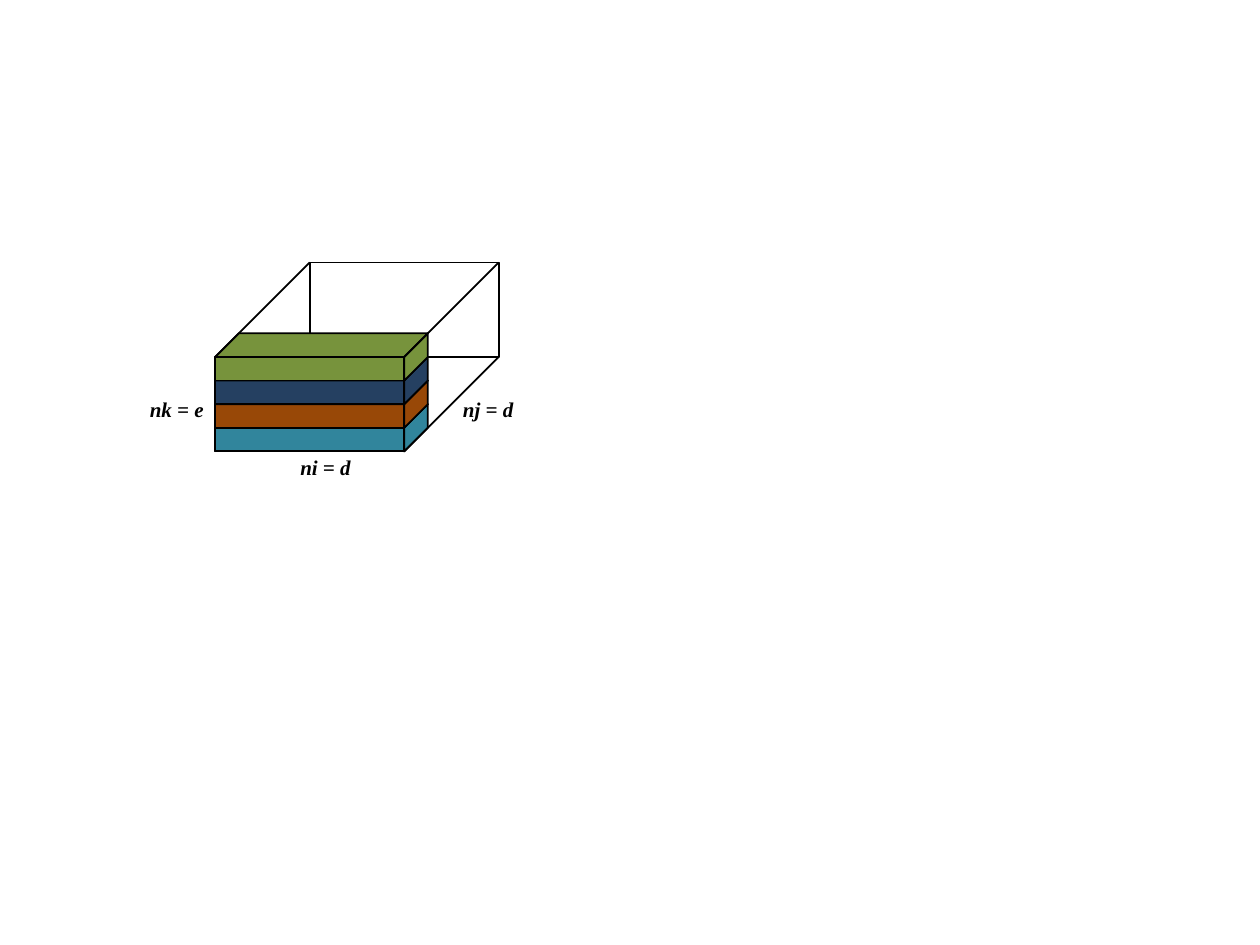
from dataclasses import dataclass
from typing import Optional

import pptx
import pptx.dml.color
import pptx.enum.shapes
import pptx.enum.text
import pptx.oxml.ns
import pptx.util
from lxml import etree

Pt = pptx.util.Pt
RGB = pptx.dml.color.RGBColor
KIND = pptx.enum.shapes.MSO_SHAPE


@dataclass(frozen=True)
class Theme:
    ink: str = "000000"
    teal: str = "31859C"
    brown: str = "984807"
    violet: str = "604A7B"
    navy: str = "254061"
    red: str = "953735"
    green: str = "77933C"
    font: str = "Times New Roman"
    size: float = 12
    stroke: float = 1


@dataclass(frozen=True)
class Layer:
    face: str
    top: str


@dataclass(frozen=True)
class Label:
    text: str
    left: float
    top: float
    width: float
    height: float


THEME = Theme()
LEFT, TOP, WIDTH, HEIGHT = 123, 204, 108, 54
RIGHT, BASE = LEFT + WIDTH, TOP + HEIGHT
DEPTH = 54

LAYERS = [
    Layer(THEME.teal, THEME.teal),
    Layer(THEME.brown, THEME.violet),
    Layer(THEME.navy, THEME.red),
    Layer(THEME.green, THEME.green),
]
STEP = HEIGHT / len(LAYERS)

LABELS = [
    Label("ni = d", 138, 258, 96, 18),
    Label("nk = e", 82, 222, 38, 24),
    Label("nj = d", 258, 222, 42, 24),
]


def add_shape(shapes, kind, left: float, top: float, width: float,
              height: float, fill: Optional[str] = None):
    shape = shapes.add_shape(kind, Pt(left), Pt(top), Pt(width), Pt(height))
    shape.shadow.inherit = False
    if fill:
        shape.fill.solid()
        shape.fill.fore_color.rgb = RGB.from_string(fill)
    else:
        shape.fill.background()
    shape.line.color.rgb = RGB.from_string(THEME.ink)
    shape.line.width = Pt(THEME.stroke)
    return shape


def add_slant(shapes, left: float, top: float, width: float, fill: str):
    shape = add_shape(shapes, KIND.PARALLELOGRAM, left, top, width, STEP, fill)
    shape.adjustments[0] = 1
    return shape


def add_layer(shapes, layer: Layer, top: float) -> None:
    add_shape(shapes, KIND.RECTANGLE, LEFT, top, WIDTH, STEP, layer.face)
    side = add_slant(shapes, RIGHT - STEP / 2, top - STEP / 2, 2 * STEP, layer.face)
    side.rotation = 90
    side._element.spPr.xfrm.set("flipH", "1")
    add_slant(shapes, LEFT, top - STEP, WIDTH + STEP, layer.top)


def add_edge(shapes, left: float, top: float) -> None:
    edge = shapes.add_connector(
        pptx.enum.shapes.MSO_CONNECTOR.STRAIGHT,
        Pt(left), Pt(top), Pt(left + DEPTH), Pt(top - DEPTH))
    edge.line.color.rgb = RGB.from_string(THEME.ink)
    edge.line.width = Pt(THEME.stroke)
    etree.SubElement(edge._element.spPr, pptx.oxml.ns.qn("a:effectLst"))


def add_label(shapes, label: Label) -> None:
    box = shapes.add_textbox(Pt(label.left), Pt(label.top),
                             Pt(label.width), Pt(label.height))
    frame = box.text_frame
    frame.word_wrap = True
    frame.vertical_anchor = pptx.enum.text.MSO_ANCHOR.MIDDLE
    frame.margin_left = frame.margin_right = Pt(0)
    frame.margin_top = frame.margin_bottom = Pt(0)
    line = frame.paragraphs[0]
    line.text = label.text
    line.alignment = pptx.enum.text.PP_ALIGN.CENTER
    font = line.font
    font.name, font.size = THEME.font, Pt(THEME.size)
    font.bold = font.italic = True
    font.color.rgb = RGB.from_string(THEME.ink)


def main() -> None:
    deck = pptx.Presentation()
    deck.slide_width, deck.slide_height = Pt(720), Pt(540)
    slide = deck.slides.add_slide(deck.slide_layouts[6])
    block = slide.shapes.add_group_shape().shapes

    add_edge(block, LEFT, BASE)
    *lower, upper = LAYERS
    for row, layer in enumerate(lower, 1):
        add_layer(block, layer, BASE - row * STEP)
    add_shape(block, KIND.RECTANGLE, LEFT + DEPTH, TOP - DEPTH, WIDTH, HEIGHT)
    add_layer(block, upper, TOP)
    add_shape(block, KIND.RECTANGLE, LEFT, TOP, WIDTH, HEIGHT)
    for left, top in [(LEFT, TOP), (RIGHT, TOP), (RIGHT, BASE)]:
        add_edge(block, left, top)

    for label in LABELS:
        add_label(slide.shapes, label)
    deck.save("out.pptx")


if __name__ == "__main__":
    main()
